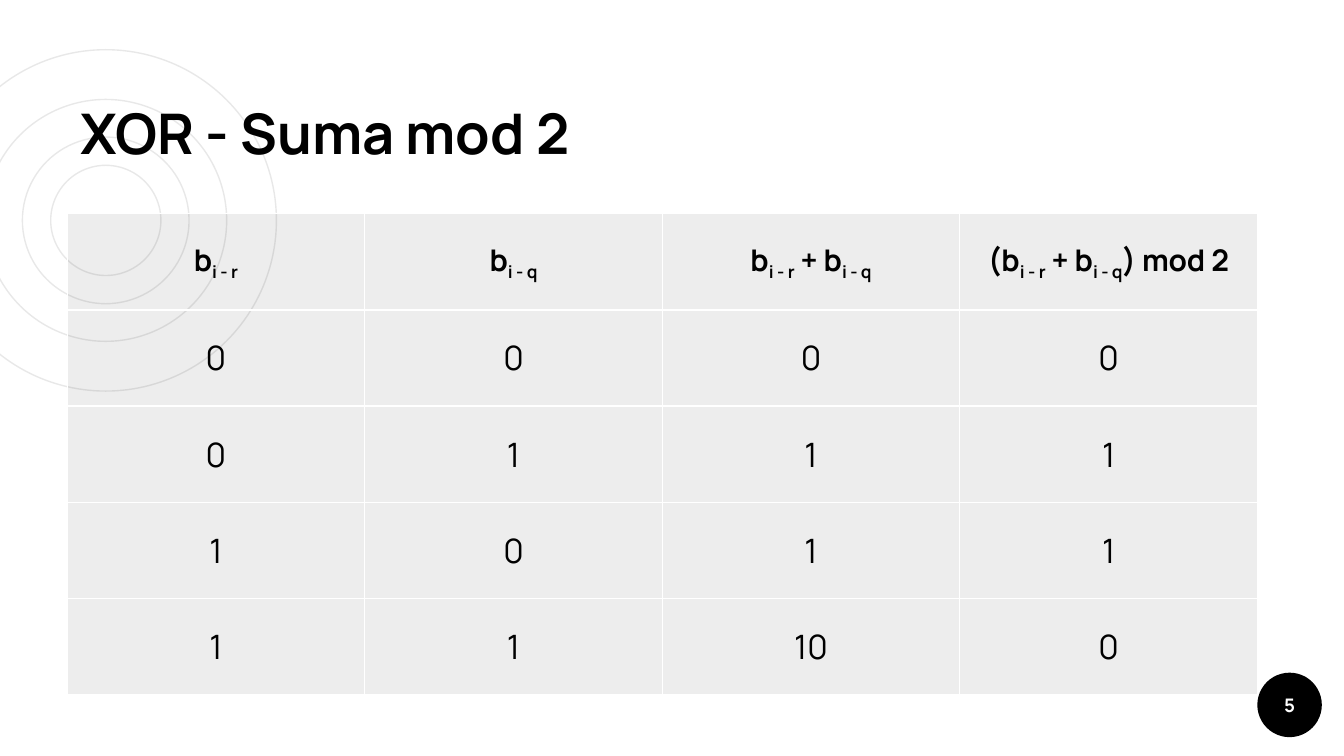
from lxml.etree import SubElement
from pptx import Presentation
from pptx.dml.color import RGBColor
from pptx.enum.shapes import MSO_SHAPE
from pptx.enum.text import MSO_ANCHOR, MSO_AUTO_SIZE, PP_ALIGN
from pptx.oxml import parse_xml
from pptx.oxml.ns import nsdecls, qn
from pptx.util import Inches, Pt

WIDTH = Inches(10)
HEIGHT = WIDTH * 9 // 16
GRID = WIDTH / 100
BLACK, WHITE, GREY = "000000", "FFFFFF", "E8E8E8"
HEADS = ["b_i - r", "b_i - q", "b_i - r_ + b_i - q", "(b_i - r_ + b_i - q_) mod 2"]
BITS = [(0, 0), (0, 1), (1, 0), (1, 1)]


def span(*units):
    return [round(GRID * unit) for unit in units]


def tint(code):
    return RGBColor.from_string(code)


def style(par, size, code=BLACK, bold=True, align=PP_ALIGN.CENTER):
    par.alignment = align
    par.font.name = "Manrope"
    par.font.size = Pt(size)
    par.font.bold = bold
    par.font.color.rgb = tint(code)


def write(par, text):
    for i, part in enumerate(text.split("_")):
        run = par.add_run()
        run.text = part
        if i % 2:
            run._r.get_or_add_rPr().set("baseline", "-25000")


def setup(frame, anchor):
    sides = span(1, 1, 1, 1)
    frame.margin_left, frame.margin_right, frame.margin_top, frame.margin_bottom = sides
    frame.auto_size = MSO_AUTO_SIZE.NONE
    frame.word_wrap = True
    frame.vertical_anchor = anchor


def add_disc(shapes, x, y, size):
    disc = shapes.add_shape(MSO_SHAPE.OVAL, *span(x - size / 2, y - size / 2, size, size))
    disc.shadow.inherit = False
    return disc


def add_rings(slide):
    group = slide.shapes.add_group_shape()
    for size in (25.4, 12.4, 18, 8.2):
        ring = add_disc(group.shapes, 7.87, 16.4, size)
        ring.fill.background()
        ring.line.color.rgb = tint(GREY)
        ring.line.width = Pt(0.75)


def add_badge(slide):
    badge = add_disc(slide.shapes, 95.95, 52.45, 4.8)
    badge.fill.solid()
    badge.fill.fore_color.rgb = tint(BLACK)
    badge.line.fill.background()
    return badge


def add_label(slide, base, text):
    box = slide.shapes.add_textbox(base.left, base.top, base.width, base.height)
    setup(box.text_frame, MSO_ANCHOR.MIDDLE)
    par = box.text_frame.paragraphs[0]
    write(par, text)
    style(par, 10, WHITE)


def set_title(slide, text):
    title = slide.shapes.title
    title.left, title.top, title.width, title.height = span(5, 5.85, 57.1, 7.5)
    setup(title.text_frame, MSO_ANCHOR.BOTTOM)
    par = title.text_frame.paragraphs[0]
    write(par, text)
    style(par, 30, align=PP_ALIGN.LEFT)
    slide.shapes.element.append(title.element)


def paint(cell):
    cell.fill.solid()
    cell.fill.fore_color.rgb = tint(BLACK)
    props = cell._tc.get_or_add_tcPr()
    shade = props.find(qn("a:solidFill")).find(qn("a:srgbClr"))
    SubElement(shade, qn("a:alpha")).set("val", "7000")
    for i, side in enumerate("LRTB"):
        edge = parse_xml(
            f'<a:ln{side} {nsdecls("a")} w="{Pt(0.75)}"><a:solidFill>'
            f'<a:srgbClr val="{WHITE}"/></a:solidFill></a:ln{side}>'
        )
        props.insert(i, edge)


def add_grid(slide, rows):
    place = span(5, 15.9, 88.56, 35.8)
    table = slide.shapes.add_table(len(rows), len(rows[0]), *place).table
    table.first_row = table.horz_banding = False
    for r, row in enumerate(rows):
        for c, text in enumerate(row):
            cell = table.cell(r, c)
            cell.vertical_anchor = MSO_ANCHOR.MIDDLE
            par = cell.text_frame.paragraphs[0]
            write(par, text)
            style(par, 18 if r else 16, bold=not r)
            paint(cell)


def main():
    deck = Presentation()
    deck.slide_width, deck.slide_height = WIDTH, HEIGHT
    slide = deck.slides.add_slide(deck.slide_layouts[5])
    add_rings(slide)
    badge = add_badge(slide)
    set_title(slide, "XOR - Suma mod 2")
    add_label(slide, badge, "5")
    sums = [[str(a), str(b), f"{a + b:b}", str((a + b) % 2)] for a, b in BITS]
    add_grid(slide, [HEADS] + sums)
    deck.save("out.pptx")


if __name__ == "__main__":
    main()
